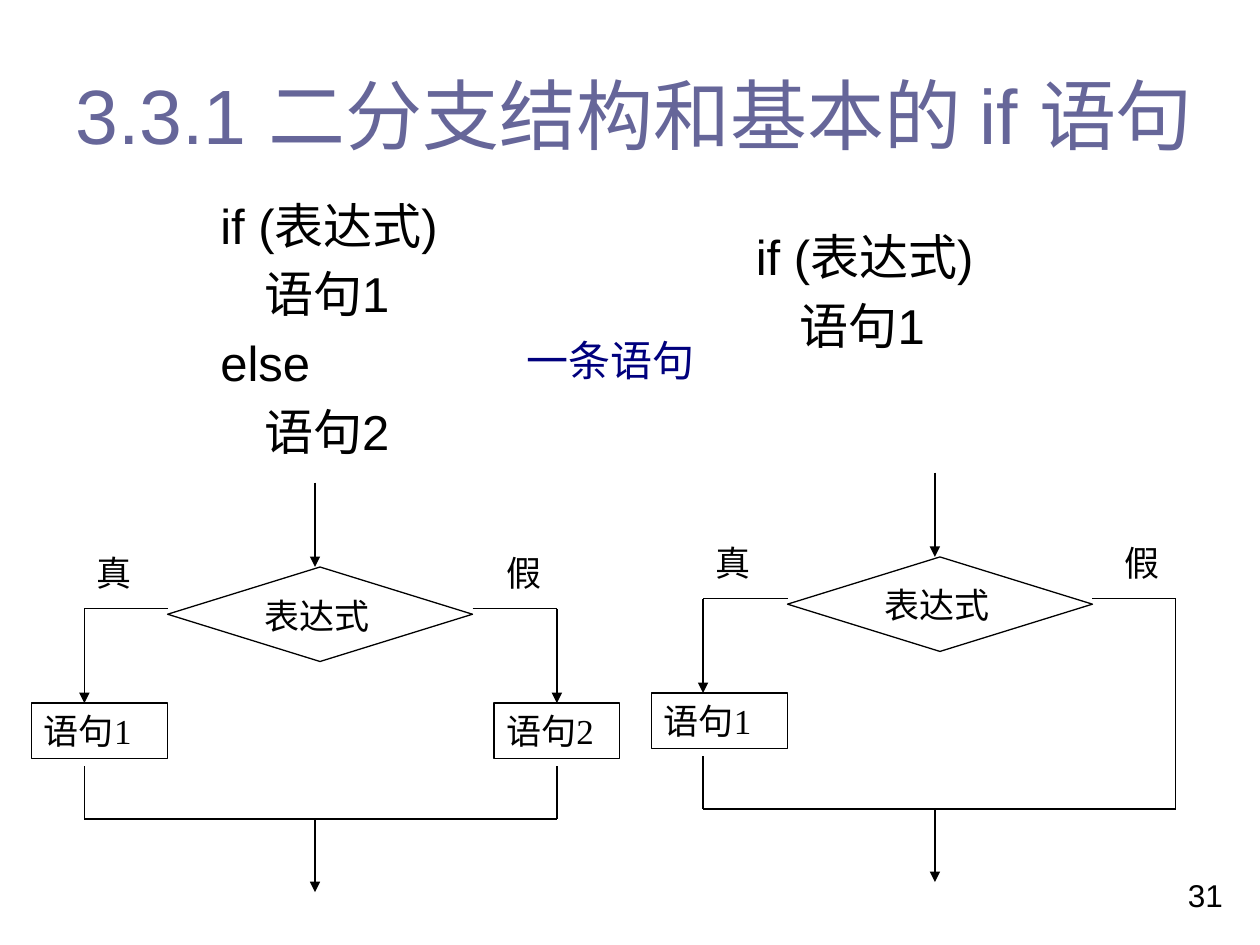
from lxml.etree import SubElement
from pptx import Presentation
from pptx.dml.color import RGBColor
from pptx.enum.shapes import MSO_CONNECTOR, MSO_SHAPE
from pptx.enum.text import MSO_ANCHOR, PP_ALIGN
from pptx.oxml.ns import qn
from pptx.util import Inches, Pt

HUES = {"ink": "000000", "title": "666699", "note": "00007D"}
SANS, SERIF, HAN = "Arial", "Times New Roman", "Noto Sans CJK SC"
UNIT = 1 / 12
TALL = 5.3

TITLE = "3.3.1 二分支结构和基本的 if 语句"
CODES = [
    (11, 18, 46, 29, "if (表达式)\n    语句1\nelse\n    语句2"),
    (62, 21, 49, 17, "if (表达式)\n    语句1"),
]
LABELS = [(21, 10, 14, "表达式"), (5, 6, 8, "真"), (44, 6, 7, "假")]
STEPS = [(0, 21, 13, "语句1"), (44, 21, 12, "语句2")]
LINES = [
    (27, 0, 27, 8, True),
    (5, 12, 13, 12, False),
    (5, 12, 5, 21, True),
    (42, 12, 50, 12, False),
    (5, 27, 5, 32, False),
    (5, 32, 50, 32, False),
    (27, 32, 27, 39, True),
]
CHARTS = [
    (3, 46, STEPS, [(50, 12, 50, 21, True), (50, 27, 50, 32, False)]),
    (62, 45, STEPS[:1], [(50, 12, 50, 32, False)]),
]

deck = Presentation()
deck.slide_width, deck.slide_height = Inches(10), Inches(7.5)
slide = deck.slides.add_slide(deck.slide_layouts[6])
shapes = slide.shapes


def grid(*spans):
    return [Inches(round(span * UNIT, 2)) for span in spans]


def style(shape, text, size, font, hue="ink", wrap=True, align=PP_ALIGN.LEFT):
    frame = shape.text_frame
    frame.text = text
    frame.word_wrap = wrap
    for para in frame.paragraphs:
        para.alignment = align
        for run in para.runs:
            run.font.size, run.font.name = Pt(size), font
            run.font.color.rgb = RGBColor.from_string(HUES[hue])
    return frame


def write(box, *look, **more):
    return style(shapes.add_textbox(*box), *look, **more)


def draw(kind, box):
    shape = shapes.add_shape(kind, *box)
    shape.shadow.inherit = False
    shape.fill.background()
    shape.line.color.rgb = RGBColor.from_string(HUES["ink"])
    shape.line.width = Pt(0.75)
    return shape


def link(ends, arrow):
    line = shapes.add_connector(MSO_CONNECTOR.STRAIGHT, *ends)
    line.line.color.rgb = RGBColor.from_string(HUES["ink"])
    line.line.width = Pt(0.75)
    if arrow:
        SubElement(line.line._get_or_add_ln(), qn("a:tailEnd"), type="triangle")
    SubElement(line._element.spPr, qn("a:effectLst"))
    return line


def chart(col, row, steps, extra):
    draw(MSO_SHAPE.DIAMOND, grid(col + 13, row + 8, 29, 9))
    tops = {}
    for x, y, wide, text in steps:
        box = draw(MSO_SHAPE.RECTANGLE, grid(col + x, row + y, wide, TALL))
        frame = style(box, text, 20, SERIF)
        frame.vertical_anchor = MSO_ANCHOR.TOP
        tops[x + wide / 2, y] = box
    for x, y, wide, text in LABELS:
        write(grid(col + x, row + y, wide, TALL), text, 20, SERIF)
    for x, y, right, low, arrow in LINES + extra:
        line = link(grid(col + x, row + y, col + right, row + low), arrow)
        if (right, low) in tops:
            line.end_connect(tops[right, low], 0)


head = write(grid(6, 5, 110.8, 11.6), TITLE, 44, SANS, "title")
head.vertical_anchor = MSO_ANCHOR.MIDDLE

for *box, code in CODES:
    frame = write(grid(*box), code, 28, SANS, align=PP_ALIGN.JUSTIFY)
    for rank, para in enumerate(frame.paragraphs):
        props = para._p.get_or_add_pPr()
        props.set("marL", str(Inches(1.04)))
        props.set("indent", str(Inches(-0.31)))
        para.space_before = Pt(5.6 if rank else 0)

for item in CHARTS:
    chart(*item)

note = write(grid(49, 32, 18.4, TALL), "一条语句", 24, HAN, "note",
             wrap=False, align=PP_ALIGN.CENTER)
note.paragraphs[0].line_spacing = 0.84
SubElement(note.paragraphs[0].runs[0].font._element, qn("a:ea"), typeface=HAN)

write(grid(112, 82.8, 6.6, 4.8), "31", 18, SANS)

deck.save("out.pptx")
